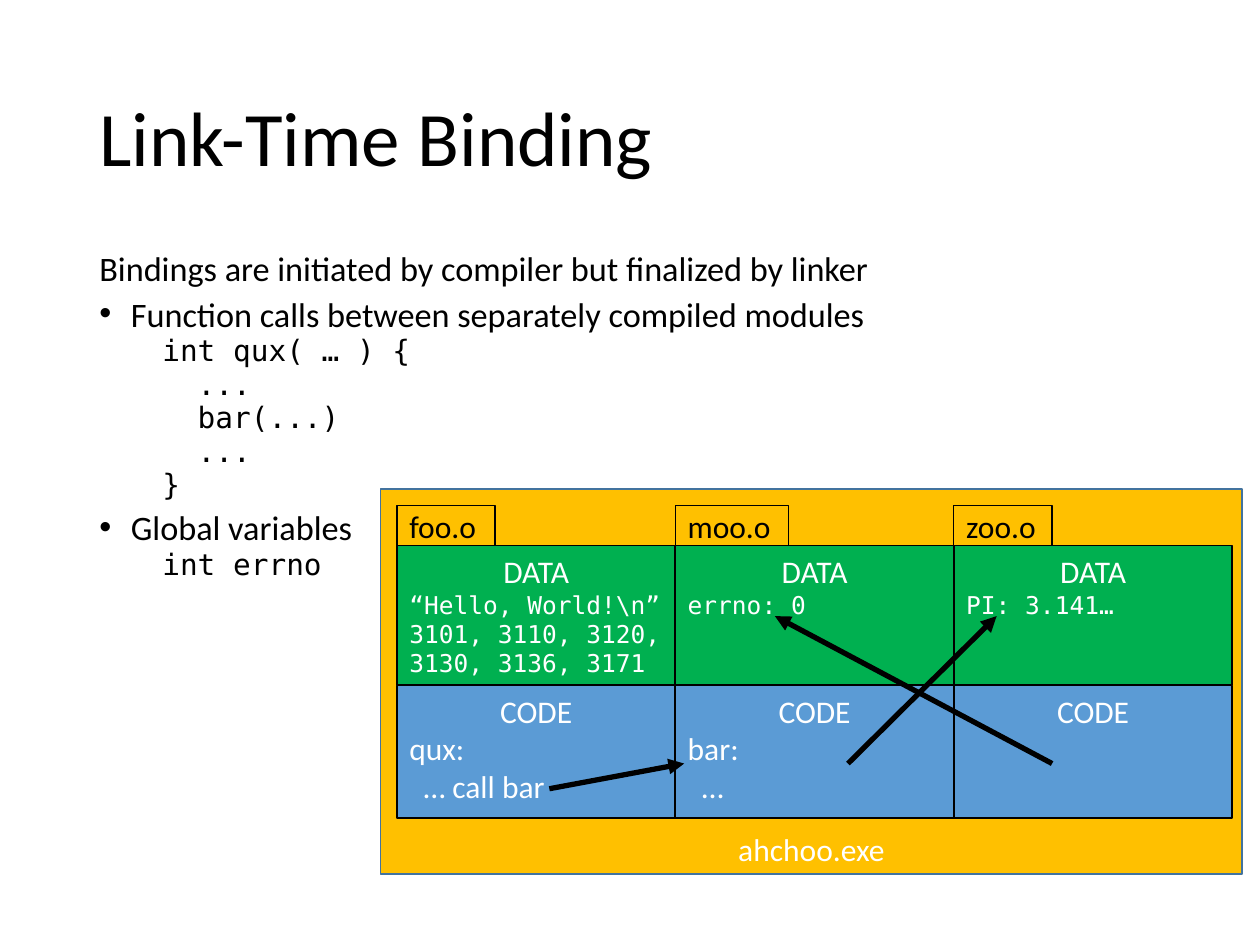
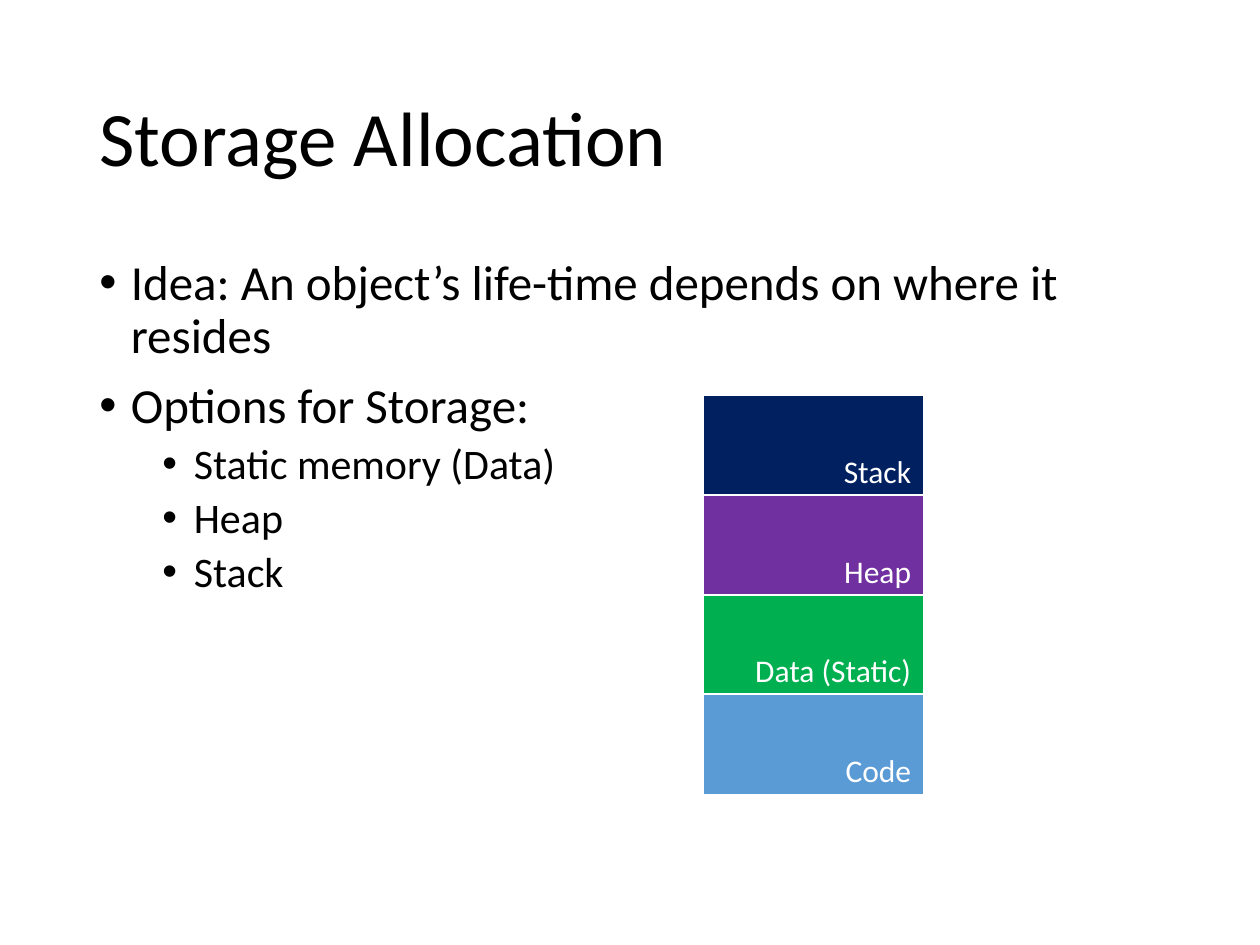
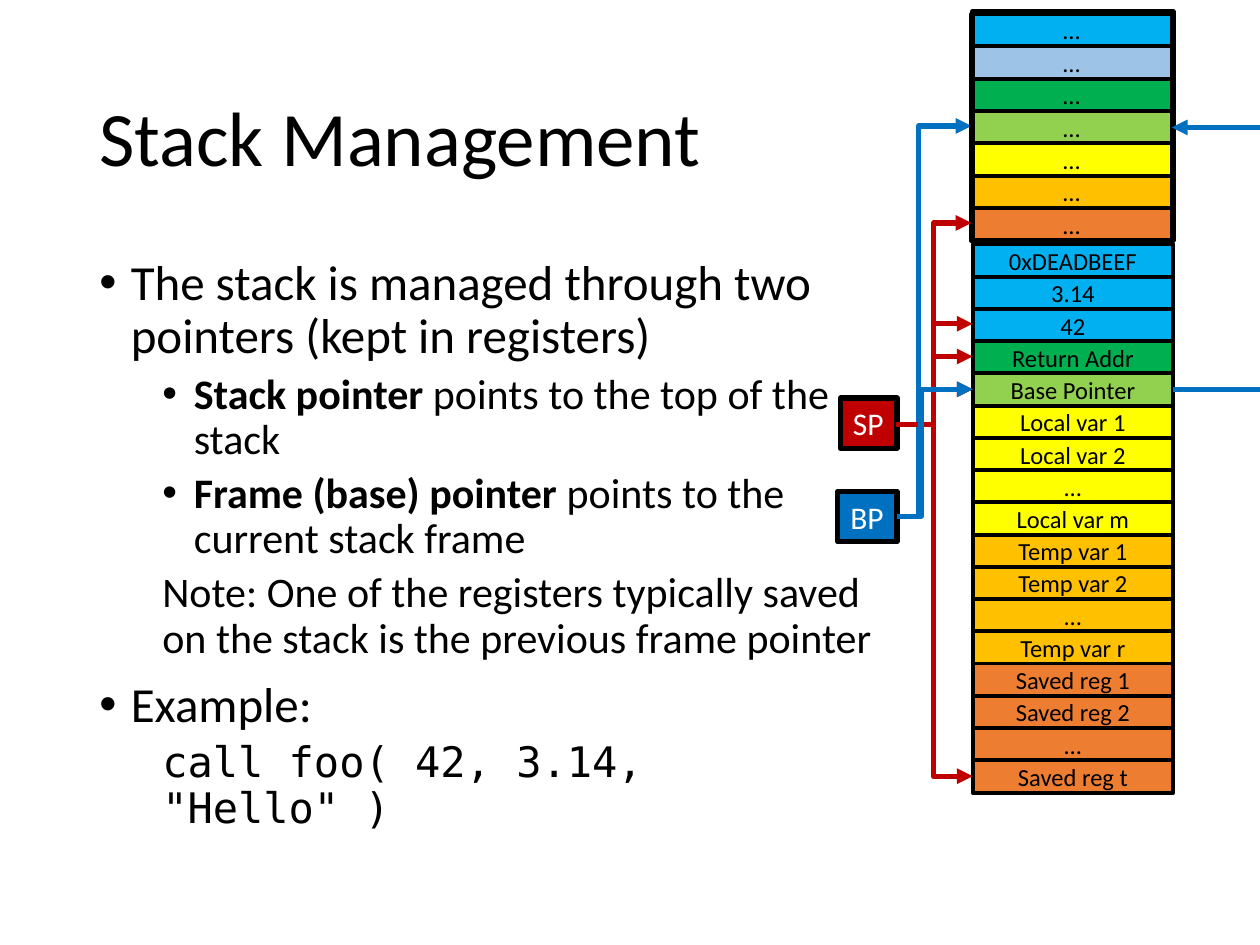
from pptx import Presentation
from pptx.dml.color import RGBColor
from pptx.enum.shapes import MSO_CONNECTOR as LINE, MSO_SHAPE as SHAPE
from pptx.enum.text import MSO_ANCHOR as ANCHOR, PP_ALIGN as ALIGN
from pptx.oxml.ns import qn
from pptx.util import Inches, Pt
from lxml.etree import SubElement

COLS, ROWS = 10, 7.5          # grid of one-inch cells
SANS, MONO = "Calibri", "DejaVu Sans Mono"
LEFT, BODY_TOP, BODY_W, BODY_H = 0.69, 2, 8.62, 4.76
C = dict(
    black="000000", white="FFFFFF", gold="FFC000", green="00B050", code="5B9BD5",
    edge="43739E", navy="002060", purple="7030A0", sky="00B0F0", pale="9DC3E6",
    lime="92D050", yellow="FFFF00", orange="ED7D31", blue="0070C0", red="C00000",
)


def rgb(name):
    return RGBColor.from_string(C[name])


def write(p, text, size=18, font=SANS, color="black", bold=0, align=None,
          bullet=False, left=0, spacing=None, before=0):
    """Fill a paragraph; the first `bold` characters are set in bold."""
    if left:
        pPr = p._p.get_or_add_pPr()
        pPr.set("marL", str(Inches(left)))
        pPr.set("indent", str(Inches(-0.25 if bullet else 0)))
        if bullet:
            SubElement(pPr, qn("a:buFont")).set("typeface", "Arial")
            SubElement(pPr, qn("a:buChar")).set("char", "•")
    p.alignment = align
    if spacing:
        p.line_spacing = spacing
    p.space_before = Pt(before)
    for part, is_bold in ((text[:bold], True), (text[bold:], False)):
        if part:
            r = p.add_run()
            r.text = part
            r.font.name, r.font.size, r.font.bold = font, Pt(size), is_bold
            r.font.color.rgb = rgb(color)


def fill_text(sp, paragraphs, anchor=ANCHOR.TOP, wrap=True, pad=0.05, **shared):
    """Write (text, format) pairs into a shape; `pad` is its top and bottom margin."""
    tf = sp.text_frame
    tf.word_wrap, tf.vertical_anchor = wrap, anchor
    tf.margin_top = tf.margin_bottom = Inches(pad)
    for i, (text, fmt) in enumerate(paragraphs):
        p = tf.add_paragraph() if i else tf.paragraphs[0]
        fmt = {**shared, **fmt}
        if i == 0:
            fmt["before"] = 0
        write(p, text, **fmt)


def text_box(s, x, y, w, h, paragraphs, **fmt):
    sp = s.shapes.add_textbox(*map(Inches, (x, y, w, h)))
    fill_text(sp, paragraphs, **fmt)


def rect(s, x, y, w, h, fill=None, line="black", width=1, paragraphs=(), **fmt):
    sp = s.shapes.add_shape(SHAPE.RECTANGLE, *map(Inches, (x, y, w, h)))
    sp.shadow.inherit = False
    if fill:
        sp.fill.solid()
        sp.fill.fore_color.rgb = rgb(fill)
    else:
        sp.fill.background()
    sp.line.color.rgb, sp.line.width = rgb(line), Pt(width)
    fill_text(sp, paragraphs, **fmt)
    return sp


def connector(s, start, end, color="black", via=None, head=True):
    """Draw a 3 pt line; `via` is the column where an elbow turns."""
    kind = LINE.STRAIGHT if via is None else LINE.ELBOW
    cx = s.shapes.add_connector(kind, *map(Inches, (*start, *end)))
    cx.line.color.rgb, cx.line.width = rgb(color), Pt(3)
    if head:
        SubElement(cx.line._get_or_add_ln(), qn("a:tailEnd")).set("type", "triangle")
    spPr = cx._element.spPr
    SubElement(spPr, qn("a:effectLst"))
    if via is not None:
        share = (via - start[0]) / (end[0] - start[0])
        gd = SubElement(spPr.find(".//" + qn("a:avLst")), qn("a:gd"))
        gd.set("name", "adj1")
        gd.set("fmla", f"val {round(share * 100000)}")
    return cx


def middle_right(sp):
    """Return the middle of a shape's right side in grid cells."""
    return (sp.left + sp.width) / Inches(1), (sp.top + sp.height // 2) / Inches(1)


def new_slide(prs, title):
    s = prs.slides.add_slide(prs.slide_layouts[6])
    text_box(s, LEFT, 0.4, BODY_W, 1.45, [(title, {})],
             anchor=ANCHOR.MIDDLE, size=44, spacing=0.9)
    return s


def plain(text, size=28):
    return text, dict(size=size, before=10)


def item(text, size=28):
    return text, dict(size=size, before=10, bullet=True, left=0.25)


def subitem(text, bold=0):
    return text, dict(size=24, before=5, bullet=True, left=0.75, bold=bold)


def indented(text, size=24, font=MONO):
    return text, dict(size=size, before=5, left=0.5, font=font)


def link_time_binding(prs):
    s = new_slide(prs, "Link-Time Binding")
    rect(s, 3.02, 3.88, 6.84, 3.06, "gold", "edge", paragraphs=[("ahchoo.exe", {})],
         anchor=ANCHOR.BOTTOM, align=ALIGN.CENTER, color="white")
    qux = ["int qux( … ) {", "  ...", "  bar(...)", "  ...", "}"]
    text_box(s, LEFT, BODY_TOP, BODY_W, 3.04, [
        plain("Bindings are initiated by compiler but finalized by linker", 19.6),
        item("Function calls between separately compiled modules", 19.6),
        *(indented(code, 16.8) for code in qux),
        item("Global variables", 19.6),
        indented("int errno", 16.8),
    ], spacing=0.7)

    modules = [
        ("foo.o", 0.78, ["“Hello, World!\\n”", "3101, 3110, 3120, 3130, 3136, 3171"],
         ["qux:", "  … call bar"]),
        ("moo.o", 0.9, ["errno: 0"], ["bar:", "  …"]),
        ("zoo.o", 0.78, ["PI: 3.141…"], []),
    ]
    module_w = 2.21
    for i, (name, tab_w, data, code) in enumerate(modules):
        x = 3.15 + i * module_w
        rect(s, x, 4.01, tab_w, 0.32, width=0.75, paragraphs=[(name, {})],
             anchor=ANCHOR.MIDDLE, pad=0)
        centred = dict(align=ALIGN.CENTER)
        rect(s, x, 4.33, module_w, 1.11, "green", color="white", paragraphs=[
            ("DATA", centred), *((t, dict(size=14, font=MONO)) for t in data)])
        rect(s, x, 5.44, module_w, 1.05, "code", color="white", paragraphs=[
            ("CODE", centred), *((t, {}) for t in code)])
    connector(s, (4.36, 6.26), (5.43, 6.06))
    connector(s, (8.35, 6.06), (6.15, 4.89))
    connector(s, (6.73, 6.06), (7.91, 4.89))


def storage_allocation(prs):
    s = new_slide(prs, "Storage Allocation")
    text_box(s, LEFT, BODY_TOP, BODY_W, BODY_H, [
        item("Idea: An object’s life-time depends on where it resides"),
        item("Options for Storage:"),
        *map(subitem, ("Static memory (Data)", "Heap", "Stack")),
    ], spacing=0.9)
    segments = [("Stack", "navy"), ("Heap", "purple"),
                ("Data (Static)", "green"), ("Code", "code")]
    for i, (name, fill) in enumerate(segments):
        rect(s, 5.58, 3.14 + i * 0.79, 1.75, 0.8, fill, "white", paragraphs=[(name, {})],
             anchor=ANCHOR.BOTTOM, align=ALIGN.RIGHT, color="white")


def stack_frame(s, x, top, bottom, cells):
    """Stack equal cells between two heights and return their shapes."""
    pitch = (bottom - top) / len(cells)
    return [rect(s, x, top + i * pitch, 1.59, 0.26, fill, width=2.25,
                 paragraphs=[(text, {})], anchor=ANCHOR.MIDDLE, align=ALIGN.CENTER,
                 size=14, pad=0)
            for i, (text, fill) in enumerate(cells)]


def stack_management(prs):
    s = new_slide(prs, "Stack Management")
    sp_out, bp_out = (7.11, 3.37), (7.12, 4.1)
    connector(s, bp_out, (7.71, 1), "blue", via=7.29)

    caller_fills = ("sky", "pale", "green", "lime", "yellow", "gold", "orange")
    caller = stack_frame(s, 7.71, 0.11, 1.91, [("…", fill) for fill in caller_fills])
    groups = [
        ("sky", ["0xDEADBEEF", "3.14", "42"]),
        ("green", ["Return Addr"]),
        ("lime", ["Base Pointer"]),
        ("yellow", ["Local var 1", "Local var 2", "…", "Local var m"]),
        ("gold", ["Temp var 1", "Temp var 2", "…", "Temp var r"]),
        ("orange", ["Saved reg 1", "Saved reg 2", "…", "Saved reg t"]),
    ]
    callee = stack_frame(s, 7.72, 1.94, 6.29,
                         [(text, fill) for fill, texts in groups for text in texts])
    rect(s, 7.72, 0.09, 1.59, 1.82, width=3)

    text_box(s, LEFT, BODY_TOP, 6.5, BODY_H, [
        item("The stack is managed through two pointers (kept in registers)"),
        subitem("Stack pointer points to the top of the stack", len("Stack pointer ")),
        subitem("Frame (base) pointer points to the current stack frame",
                len("Frame (base) pointer ")),
        indented("Note: One of the registers typically saved on the stack "
                 "is the previous frame pointer", font=SANS),
        item("Example:"),
        indented('call foo( 42, 3.14, "Hello" )'),
    ], spacing=0.9)

    for name, x, y, w, fill in (("BP", 6.65, 3.9, 0.47, "blue"),
                                ("SP", 6.67, 3.16, 0.45, "red")):
        rect(s, x, y, w, 0.4, fill, width=3, paragraphs=[(name, {})],
             wrap=False, color="white")

    saved_base, base = caller[3], callee[4]
    x, y = middle_right(saved_base)
    connector(s, (COLS, y), (x, y), "blue").end_connect(saved_base, 3)
    x, y = middle_right(base)
    connector(s, (x, y), (COLS, y), "blue", head=False).begin_connect(base, 3)
    for x, y in ((7.71, 1.77), (7.72, 2.57), (7.72, 2.83), (7.72, 3.09), (7.72, 6.16)):
        connector(s, sp_out, (x, y), "red", via=7.41)
    connector(s, bp_out, (7.72, 3.09), "blue", via=7.31)


def main():
    prs = Presentation()
    prs.slide_width, prs.slide_height = Inches(COLS), Inches(ROWS)
    link_time_binding(prs)
    storage_allocation(prs)
    stack_management(prs)
    prs.save("out.pptx")


if __name__ == "__main__":
    main()
